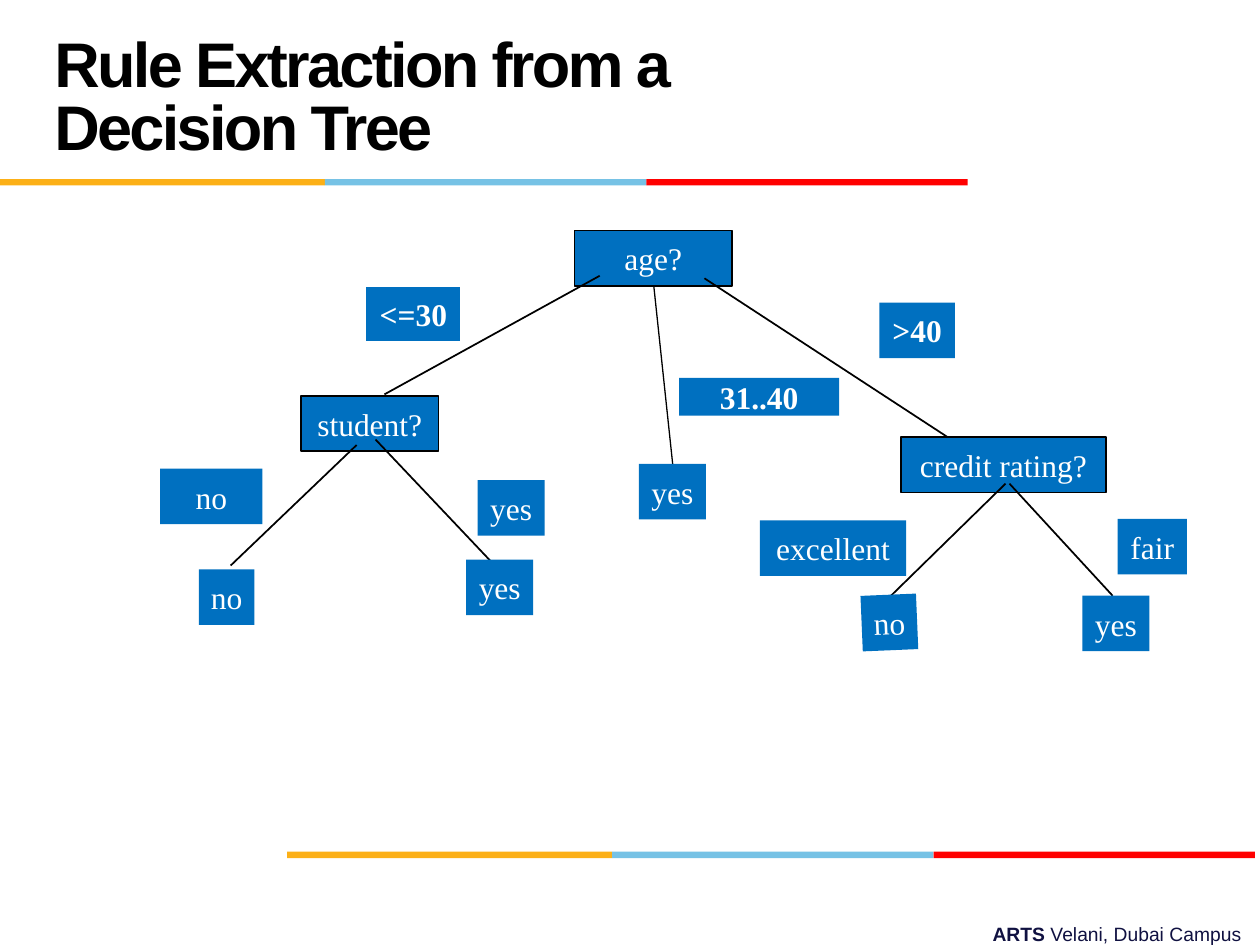
from dataclasses import dataclass
from itertools import accumulate
from typing import Optional

from lxml import etree
from pptx import Presentation
from pptx.dml.color import RGBColor
from pptx.enum import shapes, text
from pptx.oxml import ns
from pptx.util import Cm, Pt


@dataclass(frozen=True)
class Theme:
    black: str = "000000"
    white: str = "FFFFFF"
    blue: str = "0070C0"
    navy: str = "101141"
    stripes: tuple = ("FCB017", "76C2E5", "FF0000")
    heading_font: str = "Arial"
    tree_font: str = "Times New Roman"
    title_size: float = 36
    tree_size: float = 18
    footer_size: float = 11
    line_width: float = 1
    thin_width: float = 0.75


@dataclass(frozen=True)
class Box:
    label: str
    left: float
    top: float
    width: float
    height: float = 1.12
    bold: bool = False
    outline: Optional[str] = None
    rotation: float = 0


@dataclass(frozen=True)
class Edge:
    x1: float
    y1: float
    x2: float
    y2: float
    width: float = Theme.line_width


THEME = Theme()
STRIPE_WIDTHS = (6.55, 6.48, 6.48)
STRIPE_HEIGHT = 0.13

QUESTIONS = [
    Box("age?", 11.58, 4.65, 3.18, outline=THEME.black),
    Box("student?", 6.07, 7.98, 2.77, outline=THEME.black),
    Box("credit rating?", 18.16, 8.81, 4.14, outline=THEME.black),
]
EDGES = [
    Edge(12.09, 5.56, 7.75, 7.95),
    Edge(14.2, 5.61, 19.1, 8.81),
    Edge(7.19, 8.97, 4.65, 11.4),
    Edge(7.57, 8.86, 9.88, 11.3),
    Edge(20.27, 9.75, 17.96, 12.01),
    Edge(20.35, 9.75, 22.43, 12.01),
    Edge(13.18, 5.77, 13.56, 9.35, THEME.thin_width),
]
BRANCHES = [
    Box("<=30", 7.37, 5.77, 1.93, bold=True, outline=THEME.white),
    Box(">40", 17.73, 6.1, 1.52, bold=True),
    Box("31..40", 13.69, 7.62, 3.23, 0.76, bold=True),
    Box("fair", 22.53, 10.46, 1.4),
    Box("excellent", 15.32, 10.49, 2.95),
    Box("yes", 9.63, 9.68, 1.35),
    Box("no", 3.23, 9.45, 2.06),
]
LEAVES = [
    Box("no", 4.01, 11.48, 1.12),
    Box("yes", 9.4, 11.28, 1.35),
    Box("yes", 21.82, 12.01, 1.35),
    Box("yes", 12.88, 9.35, 1.35),
    Box("no", 17.37, 11.99, 1.12, rotation=-2.4),
]


def style(span, font: str, size: float, color: str, bold: bool = False) -> None:
    span.font.name = font
    span.font.size = Pt(size)
    span.font.bold = bold
    span.font.color.rgb = RGBColor.from_string(color)


def add_rectangle(page, left: float, top: float, width: float, height: float, color: str):
    shape = page.shapes.add_shape(
        shapes.MSO_SHAPE.RECTANGLE, Cm(left), Cm(top), Cm(width), Cm(height)
    )
    shape.shadow.inherit = False
    shape.fill.solid()
    shape.fill.fore_color.rgb = RGBColor.from_string(color)
    shape.line.fill.background()
    return shape


def add_stripes(page, left: float, top: float) -> None:
    starts = accumulate(STRIPE_WIDTHS, initial=left)
    for start, width, color in zip(starts, STRIPE_WIDTHS, THEME.stripes):
        add_rectangle(page, start, top, width, STRIPE_HEIGHT, color)


def add_box(page, box: Box) -> None:
    shape = add_rectangle(page, box.left, box.top, box.width, box.height, THEME.blue)
    shape.rotation = box.rotation
    if box.outline:
        shape.line.color.rgb = RGBColor.from_string(box.outline)
        shape.line.width = Pt(THEME.line_width)
    frame = shape.text_frame
    frame.text = box.label
    frame.word_wrap = False
    frame.vertical_anchor = text.MSO_ANCHOR.MIDDLE
    frame.margin_left = frame.margin_right = Cm(0.2)
    frame.margin_top = frame.margin_bottom = Cm(0.1)
    para = frame.paragraphs[0]
    para.alignment = text.PP_ALIGN.CENTER
    style(para.runs[0], THEME.tree_font, THEME.tree_size, THEME.white, box.bold)


def add_edge(page, edge: Edge) -> None:
    line = page.shapes.add_connector(
        shapes.MSO_CONNECTOR.STRAIGHT, Cm(edge.x1), Cm(edge.y1), Cm(edge.x2), Cm(edge.y2)
    )
    line.line.color.rgb = RGBColor.from_string(THEME.black)
    line.line.width = Pt(edge.width)
    etree.SubElement(line._element.spPr, ns.qn("a:effectLst"))


def add_title(page, wording: str) -> None:
    title = page.shapes.title
    title.left, title.top, title.width, title.height = Cm(0.84), Cm(0.43), Cm(17.58), Cm(3.18)
    frame = title.text_frame
    frame.text = wording
    frame.word_wrap = True
    frame.auto_size = text.MSO_AUTO_SIZE.NONE
    frame.vertical_anchor = text.MSO_ANCHOR.MIDDLE
    para = frame.paragraphs[0]
    para.alignment = text.PP_ALIGN.LEFT
    para.line_spacing = Pt(THEME.title_size)
    span = para.runs[0]
    style(span, THEME.heading_font, THEME.title_size, THEME.black, True)
    span._r.get_or_add_rPr().set("spc", "-150")


def add_footer(page, name: str, place: str) -> None:
    frame = page.shapes.add_textbox(Cm(8.97), Cm(18.47), Cm(16.31), Cm(0.74)).text_frame
    frame.word_wrap = True
    para = frame.paragraphs[0]
    para.alignment = text.PP_ALIGN.RIGHT
    for wording, bold in ((name, True), (place, False)):
        span = para.add_run()
        span.text = wording
        style(span, THEME.heading_font, THEME.footer_size, THEME.navy, bold)


def main() -> None:
    deck = Presentation()
    deck.slide_width, deck.slide_height = Cm(25.4), Cm(19.05)
    page = deck.slides.add_slide(deck.slide_layouts.get_by_name("Title Only"))
    add_footer(page, "ARTS ", "Velani, Dubai Campus")
    add_stripes(page, 5.79, 17.17)
    add_stripes(page, 0, 3.61)
    add_title(page, "Rule Extraction from a Decision Tree")
    for box in QUESTIONS:
        add_box(page, box)
    for edge in EDGES:
        add_edge(page, edge)
    for box in BRANCHES + LEAVES:
        add_box(page, box)
    deck.save("out.pptx")


if __name__ == "__main__":
    main()
